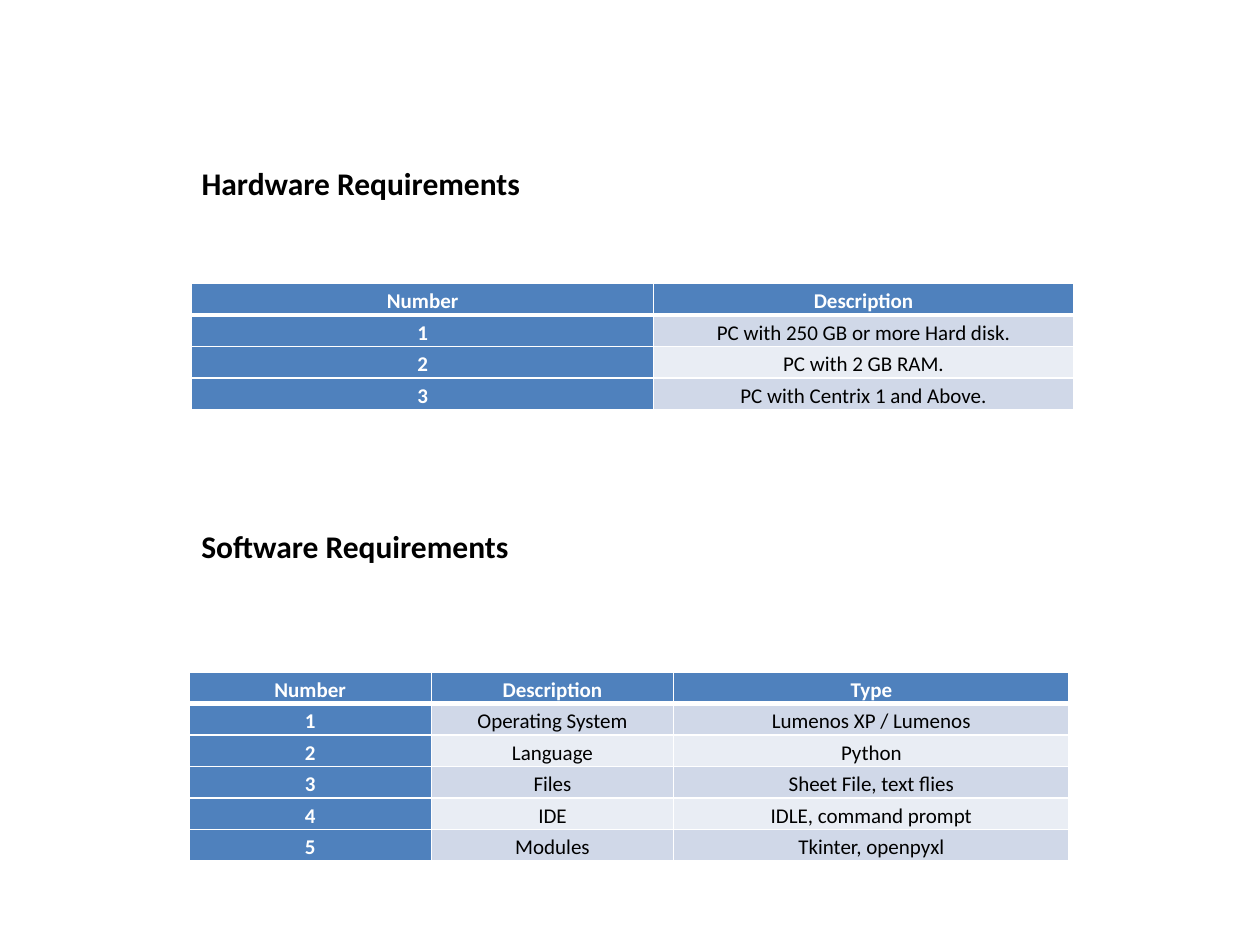
"""Builds a slide that lists hardware and software requirements in two tables."""
import dataclasses

import lxml.etree
import pptx
import pptx.dml.color
import pptx.enum.text
import pptx.oxml.ns
import pptx.util

Pt = pptx.util.Pt
Color = pptx.dml.color.RGBColor.from_string
Align = pptx.enum.text.PP_ALIGN


@dataclasses.dataclass(frozen=True)
class Theme:
    font: str = "Calibri"
    ink: str = "000000"
    light: str = "FFFFFF"
    accent: str = "4F81BD"
    bands: tuple = ("D0D8E8", "E9EDF4")
    heading_size: float = 18
    cell_size: float = 12
    cell_margin: float = 0.72
    row_height: float = 18
    thin: float = 1
    thick: float = 3


THEME = Theme()

HARDWARE = (
    ("Number", "Description"),
    ("1", "PC with 250 GB or more Hard disk."),
    ("2", "PC with 2 GB RAM."),
    ("3", "PC with Centrix 1 and Above."),
)

SOFTWARE = (
    ("Number", "Description", "Type"),
    ("1", "Operating System", "Lumenos XP / Lumenos"),
    ("2", "Language", "Python"),
    ("3", "Files", "Sheet File, text flies"),
    ("4", "IDE", "IDLE, command prompt"),
    ("5", "Modules", "Tkinter, openpyxl"),
)


def set_values(target, values):
    for name, value in values.items():
        setattr(target, name, value)


def write_text(frame, text, size, color, bold, **paragraph_format):
    para = frame.paragraphs[0]
    set_values(para, paragraph_format)
    span = para.add_run()
    span.text = text
    set_values(span.font, {"name": THEME.font, "size": Pt(size), "bold": bold})
    span.font.color.rgb = Color(color)


def format_heading(box, text, left, top, width, height):
    set_values(box, {"left": Pt(left), "top": Pt(top), "width": Pt(width), "height": Pt(height)})
    set_values(box.text_frame, {
        "word_wrap": False,
        "auto_size": pptx.enum.text.MSO_AUTO_SIZE.SHAPE_TO_FIT_TEXT,
        "vertical_anchor": pptx.enum.text.MSO_ANCHOR.TOP,
    })
    write_text(box.text_frame, text, THEME.heading_size, THEME.ink, True, alignment=Align.LEFT)


def set_borders(cell, widths):
    properties = cell._tc.get_or_add_tcPr()
    for index, (side, width) in enumerate(widths.items()):
        line = lxml.etree.Element(pptx.oxml.ns.qn(f"a:ln{side}"), w=str(Pt(width)))
        fill = lxml.etree.SubElement(line, pptx.oxml.ns.qn("a:solidFill"))
        lxml.etree.SubElement(fill, pptx.oxml.ns.qn("a:srgbClr"), val=THEME.light)
        properties.insert(index, line)


def format_cell(cell, text, row, column):
    is_header = row == 0 or column == 0
    margins = ("margin_left", "margin_top", "margin_right", "margin_bottom")
    set_values(cell, dict.fromkeys(margins, Pt(THEME.cell_margin)))
    cell.fill.solid()
    cell.fill.fore_color.rgb = Color(THEME.accent if is_header else THEME.bands[(row - 1) % 2])
    write_text(cell.text_frame, text, THEME.cell_size, THEME.light if is_header else THEME.ink,
               is_header, alignment=Align.CENTER, line_spacing=1.15)
    set_borders(cell, {
        "L": THEME.thin,
        "R": THEME.thin,
        "T": THEME.thick if row == 1 else THEME.thin,
        "B": THEME.thick if row == 0 else THEME.thin,
    })


def add_requirements_table(page, rows, left, top, column_widths):
    table = page.shapes.add_table(
        len(rows), len(column_widths), Pt(left), Pt(top),
        Pt(sum(column_widths)), Pt(THEME.row_height * len(rows))).table
    for column, width in zip(table.columns, column_widths):
        column.width = Pt(width)
    for row, texts in enumerate(rows):
        for column, text in enumerate(texts):
            format_cell(table.cell(row, column), text, row, column)


def main():
    deck = pptx.Presentation()
    set_values(deck, {"slide_width": Pt(720), "slide_height": Pt(540)})
    page = deck.slides.add_slide(deck.slide_layouts.get_by_name("Title Only"))
    format_heading(page.shapes.title, "Hardware Requirements", 108, 90, 198, 29)
    add_requirements_table(page, HARDWARE, 109.5, 162, (264, 240))
    software_heading = page.shapes.add_textbox(0, 0, 0, 0)
    format_heading(software_heading, "Software Requirements", 108, 297.5, 191.5, 29)
    add_requirements_table(page, SOFTWARE, 108, 384, (138.5, 138.5, 226))
    deck.save("out.pptx")


if __name__ == "__main__":
    main()
